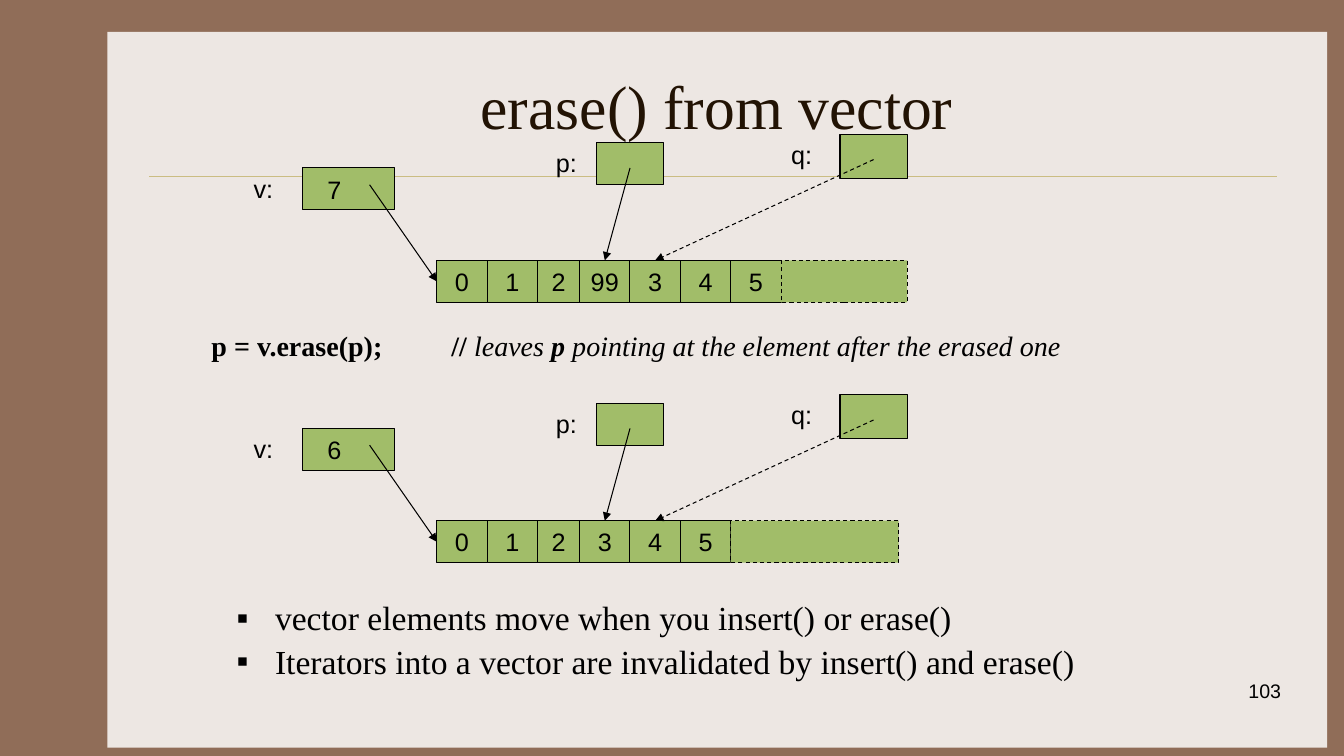
from lxml.etree import SubElement
from pptx import Presentation
from pptx.dml.color import RGBColor
from pptx.enum.dml import MSO_LINE
from pptx.enum.shapes import MSO_CONNECTOR, MSO_SHAPE
from pptx.enum.text import MSO_ANCHOR, PP_ALIGN
from pptx.oxml.ns import qn
from pptx.util import Inches, Pt

BROWN = RGBColor(0x90, 0x6D, 0x58)
CREAM = RGBColor(0xED, 0xE7, 0xE3)
GOLD = RGBColor(0xCB, 0xBD, 0x83)
GREEN = RGBColor(0xA1, 0xBD, 0x69)
DARK = RGBColor(0x22, 0x13, 0x04)
BLACK = RGBColor(0, 0, 0)

COLUMNS, ROWS = 160, 90
SANS = {"name": "Arial", "size": Pt(18)}
SERIF = {"name": "Times New Roman", "size": Pt(24)}
TOP, LEFT = 0, 1  # connection sites of a rectangle


def set_formats(target, formats):
    for attribute, value in formats.items():
        setattr(target, attribute, value)


class VectorSlide:
    """Draws on one slide; lengths are columns and rows of a 160 by 90 grid."""

    def __init__(self, deck):
        self.slide = deck.slides.add_slide(deck.slide_layouts[6])
        self.shapes = self.slide.shapes
        self.column = deck.slide_width / COLUMNS
        self.row = deck.slide_height / ROWS
        background = self.slide.background.fill
        background.solid()
        background.fore_color.rgb = BROWN

    def place(self, *lengths):
        """Turn alternating column and row counts into EMU."""
        units = (self.column, self.row) * 2
        return [round(length * unit) for length, unit in zip(lengths, units)]

    def add_runs(self, paragraph, runs, font, color=BLACK):
        """Add (text, format changes) runs to a paragraph."""
        for text, changes in runs:
            run = paragraph.add_run()
            run.text = text
            set_formats(run.font, {**font, **changes})
            run.font.color.rgb = color

    def box(self, *area, text="", fill=GREEN, line=BLACK, dash=None, right_inset=0.0):
        box = self.shapes.add_shape(MSO_SHAPE.RECTANGLE, *self.place(*area))
        box.shadow.inherit = False
        box.fill.solid()
        box.fill.fore_color.rgb = fill
        if line is None:
            box.line.fill.background()
        else:
            box.line.color.rgb = line
            set_formats(box.line, {"width": Pt(0.75), "dash_style": dash})
        if text:
            frame = box.text_frame
            set_formats(frame, {"margin_left": 0, "margin_right": Inches(right_inset),
                                "word_wrap": True, "vertical_anchor": MSO_ANCHOR.MIDDLE})
            frame.paragraphs[0].alignment = PP_ALIGN.CENTER
            self.add_runs(frame.paragraphs[0], [(text, {})], SANS)
        return box

    def text(self, *area, paragraphs, font=SANS, color=BLACK, anchor=MSO_ANCHOR.TOP,
             bullet=None, tab=None, **layout):
        """Add paragraphs, each a list of runs; layout holds paragraph formats."""
        frame = self.shapes.add_textbox(*self.place(*area)).text_frame
        set_formats(frame, {"word_wrap": True, "vertical_anchor": anchor})
        for index, runs in enumerate(paragraphs):
            paragraph = frame.add_paragraph() if index else frame.paragraphs[0]
            properties = paragraph._p.get_or_add_pPr()
            if bullet:
                properties.set("marL", str(Inches(0.38)))
                properties.set("indent", str(-Inches(0.38)))
                SubElement(properties, qn("a:buFont"), typeface="Arial")
                SubElement(properties, qn("a:buChar"), char=bullet)
            if tab:
                stops = SubElement(properties, qn("a:tabLst"))
                SubElement(stops, qn("a:tab"), pos=str(Inches(tab)), algn="l")
            set_formats(paragraph, layout)
            if index:
                paragraph.space_before = Pt(5.5)
            self.add_runs(paragraph, runs, font, color)

    def line(self, start, end, color=BLACK, width=0.75, dash=None):
        line = self.shapes.add_connector(MSO_CONNECTOR.STRAIGHT, *self.place(*start, *end))
        line.line.color.rgb = color
        set_formats(line.line, {"width": Pt(width), "dash_style": dash})
        SubElement(line.element.spPr, qn("a:effectLst"))
        return line

    def arrow(self, start, target, side, dash=None):
        arrow = self.line(start, start, dash=dash)
        arrow.end_connect(target, side)
        SubElement(arrow.element.spPr.find(qn("a:ln")), qn("a:tailEnd"), type="triangle")

    def vector(self, top, values, spare):
        """Draw a vector with its size, its elements, its spare room and iterators."""
        self.box(36, top + 4, 11, 5, text=str(len(values)), right_inset=0.28)
        cells, left = [], 52
        for index, value in enumerate(values):
            width = 5 if index == 2 else 6
            cells.append(self.box(left, top + 15, width, 5, text=str(value)))
            left += width
        self.box(left, top + 15, spare, 5, dash=MSO_LINE.DASH)
        self.box(71, top + 1, 8, 5)
        self.box(100, top, 8, 5.2)
        for name, column, row in (("v:", 29, 4), ("p:", 65, 1), ("q:", 93, 0)):
            self.text(column, top + row, 7, 5, paragraphs=[[(name, {})]])
        self.arrow((44, top + 6), cells[0], LEFT)
        self.arrow((75, top + 4), cells[3], TOP)
        self.arrow((104, top + 3), cells[4], TOP, dash=MSO_LINE.DASH)


def main():
    deck = Presentation()
    deck.slide_width, deck.slide_height = Inches(13.33), Inches(7.5)
    page = VectorSlide(deck)

    page.box(12.8, 3.8, 145.2, 85.2, fill=CREAM, line=None)
    page.line((17.8, 21), (152, 21), color=GOLD, width=0.25)
    page.text(18.7, 5, 133.3, 15, paragraphs=[[("erase() from vector", {})]],
              font={**SERIF, "size": Pt(44)}, color=DARK,
              anchor=MSO_ANCHOR.MIDDLE, alignment=PP_ALIGN.CENTER)
    page.text(120.4, 80.2, 33.3, 6, paragraphs=[[("103", {})]],
              font={**SANS, "size": Pt(14)}, alignment=PP_ALIGN.RIGHT)

    bold, italic = {"bold": True}, {"italic": True}
    page.text(24, 39, 108, 7, font={**SERIF, "size": Pt(20)}, tab=2.38, line_spacing=0.9,
              paragraphs=[[("p = v.erase(p);\t// ", bold), ("leaves", italic),
                           (" p ", {**bold, **italic}),
                           ("pointing at the element after the erased one", italic)]])
    page.text(27, 71, 108, 11, font=SERIF, bullet="▪", line_spacing=0.9,
              paragraphs=[[("vector elements move when you insert() or erase()", {})],
                          [("Iterators into a vector are invalidated by "
                            "insert() and erase()", {})]])

    page.vector(16, [0, 1, 2, 99, 3, 4, 5], spare=15)
    page.vector(47, [0, 1, 2, 3, 4, 5], spare=20)
    deck.save("out.pptx")


if __name__ == "__main__":
    main()
